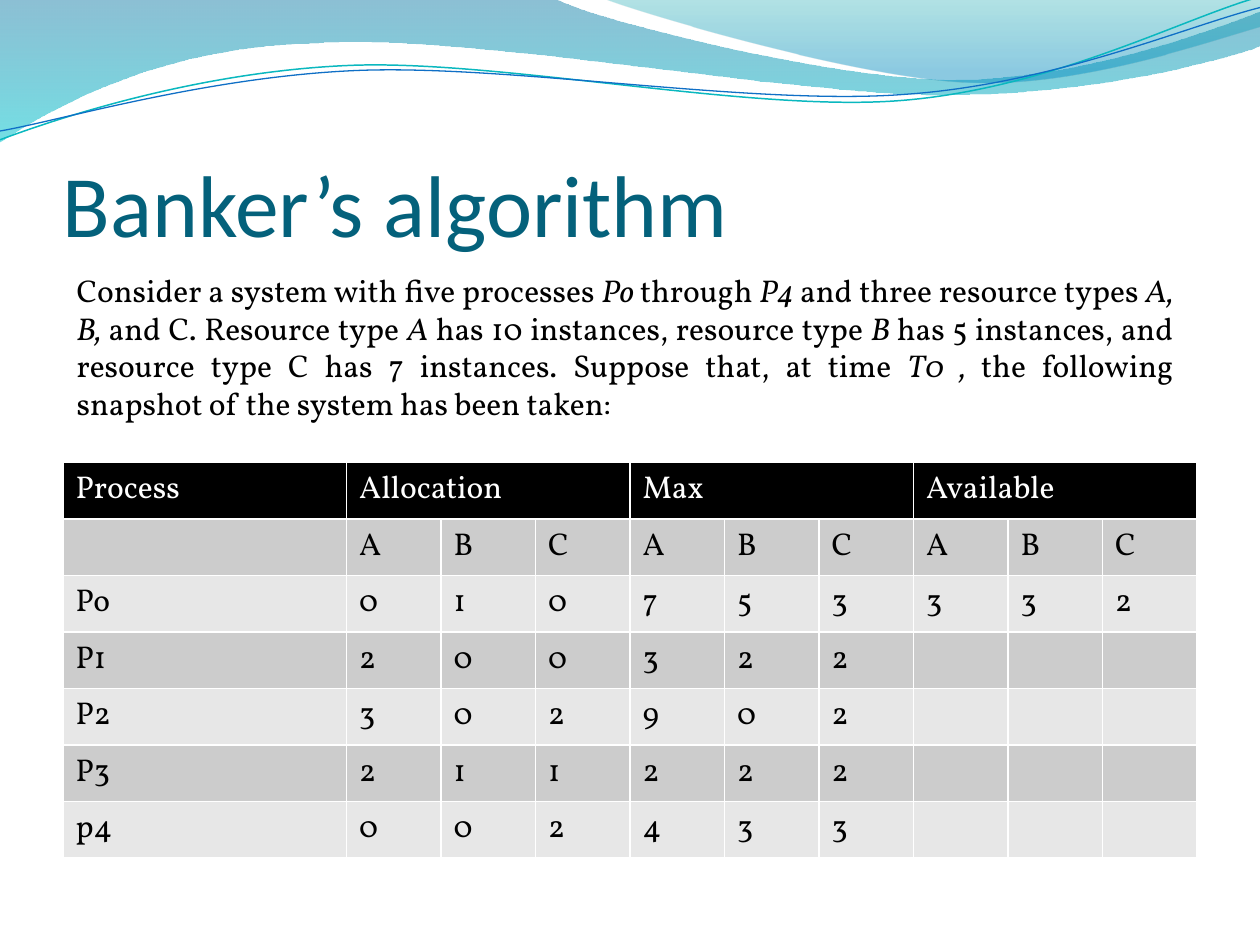
from pptx import Presentation
from pptx import util as u
from pptx.dml.color import RGBColor
from pptx.enum import text
from pptx.oxml import parse_xml
from pptx.oxml.ns import nsdecls, qn
from pptx.oxml.xmlchemy import OxmlElement

# Content
TITLE = "Banker’s algorithm"
# Runs alternate between upright and italic
BODY = [
    "Consider a system with five processes ", "Po ", "through ", "P4 ",
    "and three resource types ", "A, B, ", "and C. Resource type ", "A ",
    "has 10 instances, resource type ", "B ",
    "has 5 instances, and resource type C has 7 instances. "
    "Suppose that, at time ", "T0 , ",
    "the following snapshot of the system has been taken:",
]
HEADS = ["Process", "Allocation", "Max", "Available"]
ROWS = [
    ["", *"ABCABCABC"],
    ["Po", *"010753332"],
    ["P1", *"200322"],
    ["P2", *"302902"],
    ["P3", *"211222"],
    ["p4", *"002433"],
]

# Waves: each step is a point (line) or three points (curve)
BANDS = [
    dict(start=(0, 0), steps=[
        (4.4, -0.01), (4.76, 0.17, 6.64, 0.63, 7.58, 0.63),
        (8.53, 0.63, 9.58, 0.26, 10, 0.09), (10.01, 0.36),
        (9.83, 0.44, 8.7, 0.76, 7.46, 0.75),
        (6.22, 0.75, 3.82, 0.28, 2.57, 0.34),
        (1.29, 0.36, 0.46, 0.83, -0.01, 1.13), (0, 0)],
        stops=[(0, "0074A1", 45), (1, "00C6CF", 55)]),
    dict(start=(4.79, -0.01), steps=[
        (5.09, 0.11, 6.82, 0.62, 7.69, 0.65),
        (8.56, 0.69, 9.61, 0.32, 10, 0.21), (10, 0), (4.79, -0.01)],
        stops=[(0, "00A1A9", 30), (0.8, "008BBF", 45)]),
]
LINES = [
    dict(start=(0, 1.11), steps=[
        (0.48, 0.93, 1.58, 0.57, 2.77, 0.52),
        (3.95, 0.47, 5.93, 0.89, 7.13, 0.8),
        (8.33, 0.71, 9.38, 0.15, 9.98, -0.02)], color="0AB8BF", width=0.85),
    dict(start=(0, 1.04), steps=[
        (0.47, 0.96, 1.64, 0.61, 2.83, 0.56),
        (4.03, 0.51, 5.97, 0.84, 7.17, 0.75),
        (8.36, 0.67, 9.41, 0.21, 10, 0.06)], color="0F6FC6", width=0.75),
]

SERIF = dict(name="Vollkorn", size=u.Pt(18), bold=False)


def rgb(code):
    return RGBColor.from_string(code)


def style(font, color, **form):
    for key, val in form.items():
        setattr(font, key, val)
    font.color.rgb = rgb(color)


def wave(slide, start, steps, close):
    pts = [(u.Inches(x), u.Inches(y)) for step in steps
           for x, y in zip(step[::2], step[1::2])]
    build = slide.shapes.build_freeform(*map(u.Inches, start))
    build.add_line_segments(pts, close=close)
    shape = build.convert_to_shape()
    shape.shadow.inherit = False
    # Join each three points of a curve into one Bezier segment
    nodes = iter(list(shape.element.iter(qn("a:lnTo"))))
    for step in steps:
        first = next(nodes)
        if len(step) == 6:
            curve = OxmlElement("a:cubicBezTo")
            first.addprevious(curve)
            for node in (first, next(nodes), next(nodes)):
                curve.append(node[0])
                node.getparent().remove(node)
    return shape


def band(slide, start, steps, stops):
    shape = wave(slide, start, steps, True)
    shape.line.fill.background()
    shape.fill.gradient()
    shape.fill.gradient_angle = 270
    for stop, (pos, color, _) in zip(shape.fill.gradient_stops, stops):
        stop.position = pos
        stop.color.rgb = rgb(color)
    for node, (_, _, part) in zip(shape.element.iter(qn("a:srgbClr")), stops):
        alpha = OxmlElement("a:alpha")
        alpha.set("val", str(part * 1000))
        node.append(alpha)


def line(slide, start, steps, color, width):
    shape = wave(slide, start, steps, False)
    shape.fill.background()
    shape.line.color.rgb = rgb(color)
    shape.line.width = u.Pt(width)


def box(slide, *place, **form):
    frame = slide.shapes.add_textbox(*map(u.Inches, place)).text_frame
    for key, val in dict(word_wrap=True, **form).items():
        setattr(frame, key, val)
    return frame


def border(cell):
    for side in "LRTB":
        cell._tc.get_or_add_tcPr().append(parse_xml(
            f'<a:ln{side} {nsdecls("a")} w="{u.Pt(1)}"><a:solidFill>'
            f'<a:srgbClr val="FFFFFF"/></a:solidFill></a:ln{side}>'))


def grid(slide):
    rows, cols = len(ROWS) + 1, len(ROWS[0])
    frame = slide.shapes.add_table(
        rows, cols, *map(u.Inches, (0.5, 3.67, 9, 3.14)))
    table = frame.table
    for i, col in enumerate(table.columns):
        col.width = u.Inches(0.75 if i else 2.25)
    # Group heads span three columns each
    top = [HEADS[0]] + [w for h in HEADS[1:] for w in (h, "", "")]
    for r, words in enumerate([top] + ROWS):
        fill = "000000" if r == 0 else ("E7E7E7", "CCCCCC")[r % 2]
        for c in range(cols):
            cell = table.cell(r, c)
            border(cell)
            cell.fill.solid()
            cell.fill.fore_color.rgb = rgb(fill)
            cell.text = words[c] if c < len(words) else ""
            style(cell.text_frame.paragraphs[0].font,
                  "000000" if r else "FFFFFF", **SERIF)
    for c in range(1, cols, 3):
        table.cell(0, c).merge(table.cell(0, c + 2))


def main():
    deck = Presentation()
    deck.slide_width, deck.slide_height = u.Inches(10), u.Inches(7.5)
    slide = deck.slides.add_slide(deck.slide_layouts[6])

    # Waves at the top
    for item in BANDS:
        band(slide, **item)
    for item in LINES:
        line(slide, **item)

    # Title
    frame = box(slide, 0.5, 0.77, 9, 1.25, margin_left=0, margin_right=0,
                margin_bottom=0, vertical_anchor=text.MSO_ANCHOR.BOTTOM)
    frame.text = TITLE
    style(frame.paragraphs[0].runs[0].font, "04617B",
          name="Calibri", size=u.Pt(50))

    grid(slide)

    # Problem statement
    para = box(slide, 0.51, 2.1, 8.9, 1.31,
               auto_size=text.MSO_AUTO_SIZE.SHAPE_TO_FIT_TEXT).paragraphs[0]
    para.alignment = text.PP_ALIGN.JUSTIFY
    for i, words in enumerate(BODY):
        run = para.add_run()
        run.text = words
        style(run.font, "000000", italic=i % 2 == 1, **SERIF)

    deck.save("out.pptx")


if __name__ == "__main__":
    main()
